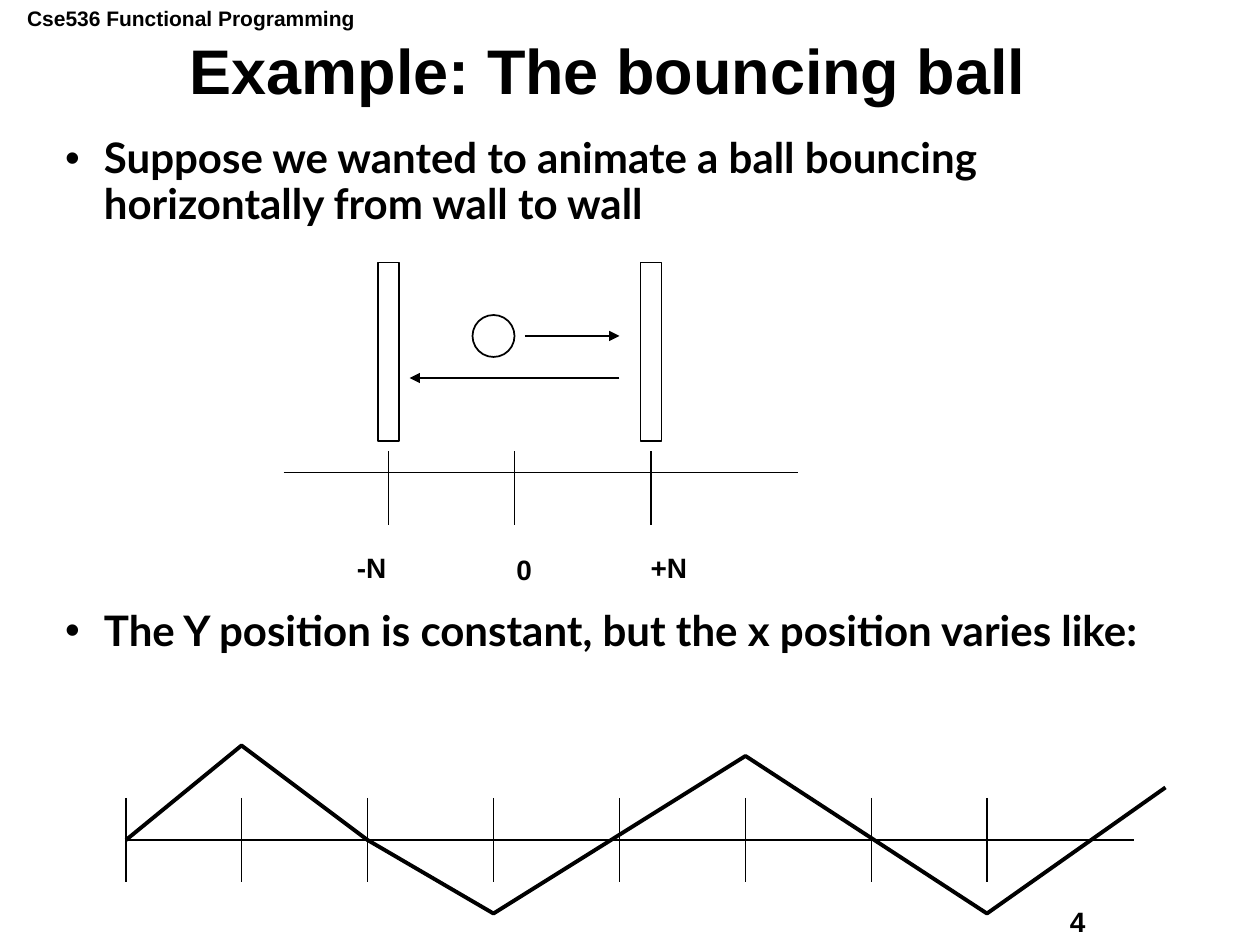
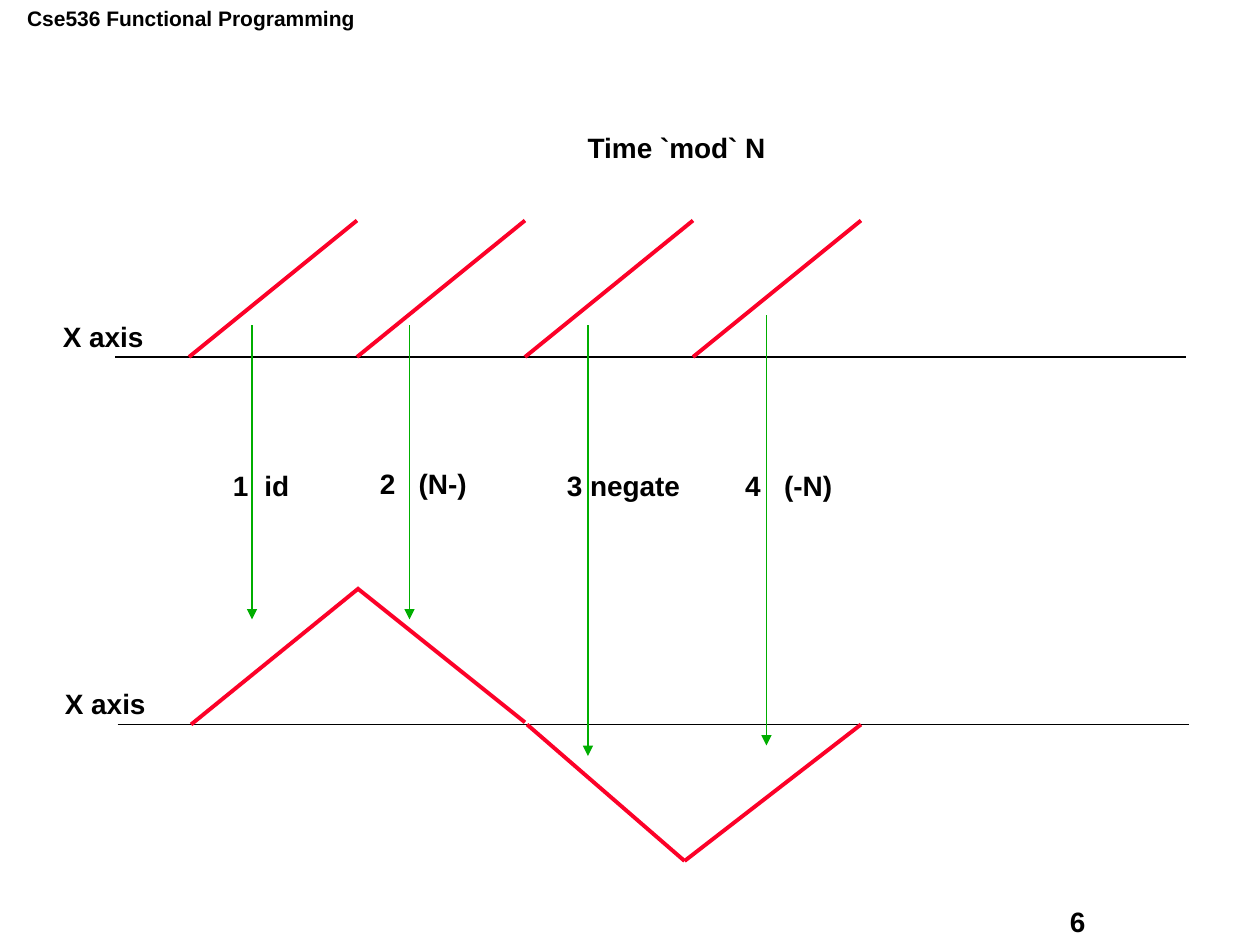
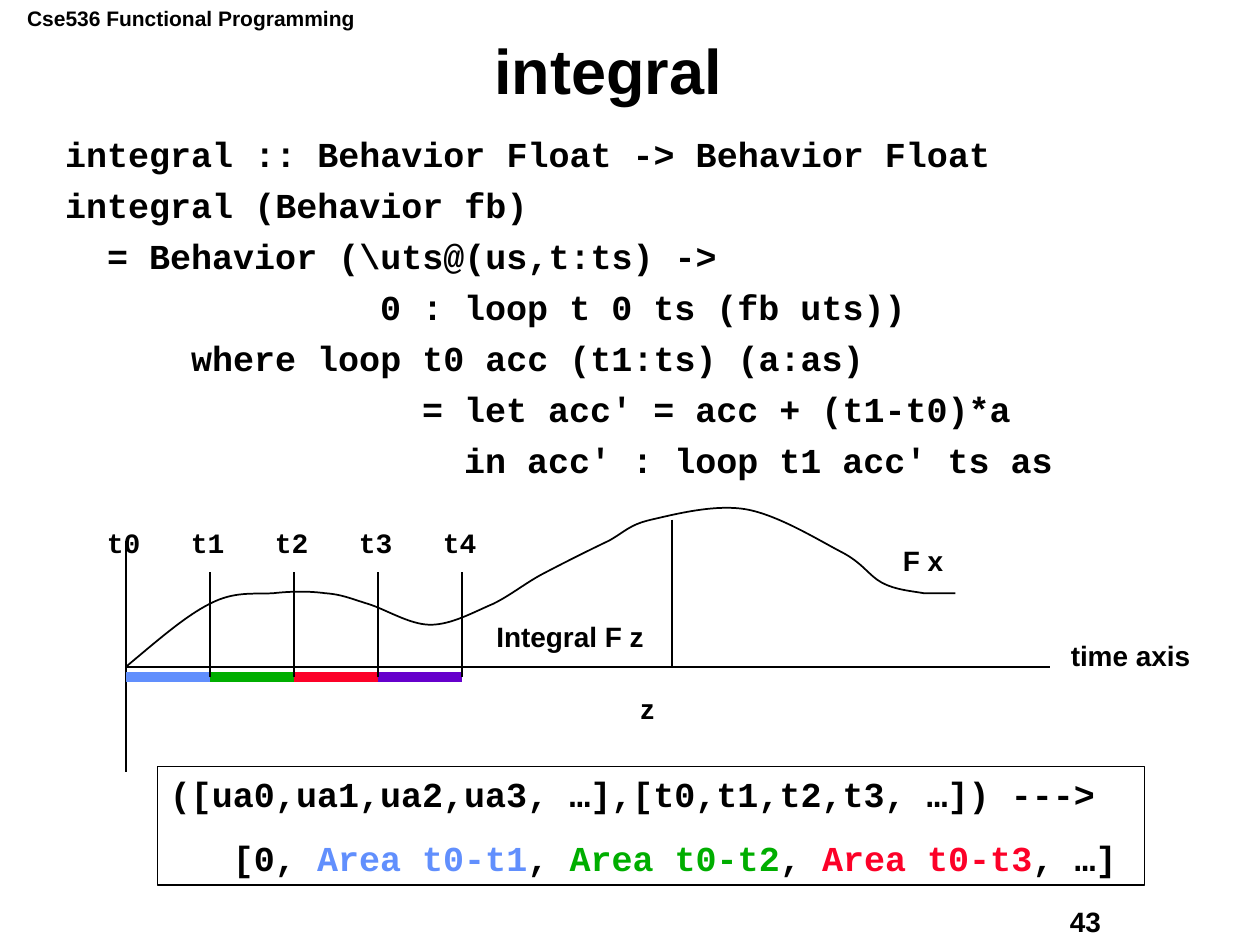
"""Builds three functional programming slides: the bouncing ball, its time mapping, and integral."""
from lxml import etree
from pptx import Presentation
from pptx import util as u
from pptx.dml.color import RGBColor
from pptx.enum import shapes, text
from pptx.oxml.ns import qn

PX = 7620
BLACK, WHITE, RED, GREEN, BLUE, PURPLE = "000000", "FFFFFF", "FC0128", "00AE00", "618FFD", "6600CC"
CODE = "Courier New"
CODE_CHAR = 20
ink = RGBColor.from_string


def write(frame, paragraphs, size, face="Arial", **spacing):
    """Fill a text frame with paragraphs, each a list of (words, colour) runs."""
    frame.word_wrap = True
    frame.auto_size = text.MSO_AUTO_SIZE.NONE
    for index, runs in enumerate(paragraphs):
        paragraph = frame.add_paragraph() if index else frame.paragraphs[0]
        for key, value in spacing.items():
            setattr(paragraph, key, value)
        for words, colour in runs:
            run = paragraph.add_run()
            run.text = words
            for key, value in {"size": u.Pt(size), "name": face, "bold": True}.items():
                setattr(run.font, key, value)
            run.font.color.rgb = ink(colour)


def segment(slide, x1, y1, x2, y2, colour=BLACK, weight=1, arrow=False):
    """Draw a straight line, with an arrowhead at its end if asked."""
    ends = [length * PX for length in (x1, y1, x2, y2)]
    stroke = slide.shapes.add_connector(shapes.MSO_CONNECTOR.STRAIGHT, *ends)
    stroke.line.color.rgb = ink(colour)
    stroke.line.width = u.Pt(weight)
    properties = stroke._element.spPr
    if arrow:
        etree.SubElement(properties.find(qn("a:ln")), qn("a:tailEnd"), type="triangle")
    etree.SubElement(properties, qn("a:effectLst"))


deck = Presentation()
deck.slide_width, deck.slide_height = 1200 * PX, 900 * PX
titled, blank = deck.slide_layouts[1], deck.slide_layouts[6]
ball, mapping, integral = [deck.slides.add_slide(layout) for layout in (titled, blank, titled)]

for slide, heading in ((ball, "Example: The bouncing ball"), (integral, "integral")):
    title, body = slide.placeholders
    for part, place in ((title, (37, 37, 1084, 67)), (body, (50, 125, 1070, 715))):
        for key, value in zip(("left", "top", "width", "height"), place):
            setattr(part, key, value * PX)
    title.text_frame.vertical_anchor = text.MSO_ANCHOR.MIDDLE
    write(title.text_frame, [[(heading, BLACK)]], 36, line_spacing=0.9, alignment=text.PP_ALIGN.CENTER)

labels = [
    (ball, 480, 520, 46, "0", 0),
    (ball, 608, 518, 65, "+N", 0),
    (ball, 328, 518, 58, "-N", 0),
    (mapping, 48, 298, 107, "X axis", 0),
    (mapping, 548, 118, 199, "Time `mod` N", 0),
    (mapping, 50, 648, 107, "X axis", 0),
    (mapping, 210, 440, 83, "1\tid", 30),
    (mapping, 350, 438, 113, "2\t(N-)", 37),
    (mapping, 528, 440, 138, "3 negate", 0),
    (mapping, 698, 440, 113, "4\t(-N)", 37),
    (integral, 848, 512, 68, "F x", 0),
    (integral, 1008, 602, 144, "time axis", 0),
    (integral, 598, 653, 43, "z", 0),
    (integral, 461, 584, 170, "Integral F z", 0),
    (integral, 90, 495, 450, "t0\tt1\tt2\tt3\tt4", 80),
]
for slide, number in ((ball, "4"), (mapping, "6"), (integral, "43")):
    course = slide.shapes.add_textbox(14 * PX, -1 * PX, 342 * PX, 36 * PX)
    write(course.text_frame, [[("Cse536 Functional Programming", BLACK)]], 12)
    labels.append((slide, 1007, 856, 152, number, 0))

for slide, x, y, width, words, tab in labels:
    label = slide.shapes.add_textbox(x * PX, y * PX, width * PX, 44 * PX)
    write(label.text_frame, [[(words, BLACK)]], 16, CODE if words.startswith("t0") else "Arial")
    if tab:
        stops = etree.SubElement(label.text_frame.paragraphs[0]._p.get_or_add_pPr(), qn("a:tabLst"))
        for count in range(words.count("\t")):
            etree.SubElement(stops, qn("a:tab"), pos=str(tab * (count + 1) * PX), algn="l")

points = [
    "Suppose we wanted to animate a ball bouncing horizontally from wall to wall",
    "The Y position is constant, but the x position varies like:",
]
story = ball.placeholders[1].text_frame
write(story, [[(point, BLACK)] for point in points], 24, "Lato", line_spacing=0.9)
for paragraph, gap in zip(story.paragraphs, (9, 218)):
    paragraph.space_before = u.Pt(gap)
    layout = paragraph._p.get_or_add_pPr()
    layout.set("marL", str(37 * PX))
    layout.set("indent", str(-37 * PX))
    etree.SubElement(layout, qn("a:buChar"), char="•")

RECTANGLE, OVAL = shapes.MSO_SHAPE.RECTANGLE, shapes.MSO_SHAPE.OVAL
for kind, *place in ((RECTANGLE, 360, 250, 20, 170), (RECTANGLE, 610, 250, 20, 170), (OVAL, 450, 300, 40, 40)):
    body = ball.shapes.add_shape(kind, *[length * PX for length in place])
    body.shadow.inherit = False
    body.fill.solid()
    body.fill.fore_color.rgb = ink(WHITE)
    body.line.color.rgb = ink(BLACK)
    body.line.width = u.Pt(1)
segment(ball, 500, 320, 590, 320, arrow=True)
segment(ball, 590, 360, 390, 360, arrow=True)
segment(ball, 270, 450, 760, 450)
for x in (370, 490, 620):
    segment(ball, x, 430, x, 500)
segment(ball, 120, 800, 1080, 800)
for x in (120, 230, 350, 470, 590, 710, 830, 940):
    segment(ball, x, 760, x, 840)

segment(mapping, 110, 340, 1130, 340)
for x in range(180, 661, 160):
    segment(mapping, x, 340, x + 160, 210, RED, 2.25)
segment(mapping, 112, 690, 1132, 690)
for leg in ((182, 690, 342, 560), (340, 560, 500, 688), (502, 690, 652, 820), (652, 820, 820, 690)):
    segment(mapping, *leg, RED, 2.25)
for x, top, bottom in ((240, 310, 590), (390, 310, 590), (560, 310, 720), (730, 300, 710)):
    segment(mapping, x, top, x, bottom, GREEN, arrow=True)

code_lines = [
    (0, "integral :: Behavior Float -> Behavior Float"),
    (0, "integral (Behavior fb)"),
    (2, "= Behavior (\\uts@(us,t:ts) ->"),
    (15, "0 : loop t 0 ts (fb uts))"),
    (6, "where loop t0 acc (t1:ts) (a:as)"),
    (17, "= let acc' = acc + (t1-t0)*a"),
    (19, "in acc' : loop t1 acc' ts as"),
]
code = integral.placeholders[1].text_frame
write(code, [[(words, BLACK)] for _, words in code_lines], 20, CODE, line_spacing=0.9, space_before=u.Pt(7.5))
for paragraph, (depth, _) in zip(code.paragraphs, code_lines):
    layout = paragraph._p.get_or_add_pPr()
    layout.set("marL", str(depth * CODE_CHAR * PX))
    layout.set("indent", "0")
    etree.SubElement(layout, qn("a:buNone"))

segment(integral, 120, 635, 1000, 635)
segment(integral, 120, 515, 120, 735)
segment(integral, 640, 495, 640, 635)
for step, colour in enumerate((BLUE, GREEN, RED, PURPLE)):
    segment(integral, 120 + 80 * step, 645, 200 + 80 * step, 645, colour, 6)
for x in range(200, 441, 80):
    segment(integral, x, 645, x, 545)

wave = [(120, 800), (230, 710), (350, 800), (470, 870), (710, 720), (940, 870), (1110, 750)]
function_curve = [
    (120, 635),
    (149, 611), (176, 587), (200, 575), (223, 563), (241, 566), (260, 565),
    (278, 563), (295, 563), (310, 565), (325, 566), (334, 570), (350, 575),
    (367, 580), (390, 595), (410, 595), (430, 595), (451, 583), (470, 575),
    (488, 566), (502, 554), (520, 545), (539, 535), (563, 523), (580, 515),
    (596, 506), (599, 500), (620, 495), (642, 490), (680, 480), (710, 485),
    (740, 490), (779, 514), (800, 525), (822, 536), (827, 548), (840, 555),
    (853, 562), (869, 563), (880, 565), (892, 565), (905, 565), (910, 565),
]
for slide, vertices, weight, curved in ((ball, wave, 2.25, False), (integral, function_curve, 1, True)):
    builder = slide.shapes.build_freeform(*vertices[0], scale=PX)
    builder.add_line_segments(vertices[1:], close=False)
    trace = builder.convert_to_shape()
    trace.shadow.inherit = False
    trace.fill.background()
    trace.line.color.rgb = ink(BLACK)
    trace.line.width = u.Pt(weight)
    if curved:
        legs = list(trace._element.iter(qn("a:lnTo")))
        for first in range(0, len(legs), 3):
            bend = etree.SubElement(legs[first].getparent(), qn("a:cubicBezTo"))
            for leg in legs[first:first + 3]:
                bend.append(leg[0])
                leg.getparent().remove(leg)

result = integral.shapes.add_shape(RECTANGLE, 150 * PX, 730 * PX, 940 * PX, 113 * PX)
result.shadow.inherit = False
result.fill.background()
result.line.color.rgb = ink(BLACK)
result.line.width = u.Pt(1)
result.text_frame.vertical_anchor = text.MSO_ANCHOR.TOP
areas = [
    ("[0, ", BLACK), ("Area t0-t1", BLUE), (", ", BLACK), ("Area t0-t2", GREEN),
    (", ", BLACK), ("Area t0-t3", RED), (", …]", BLACK),
]
samples = [("([ua0,ua1,ua2,ua3, …],[t0,t1,t2,t3, …]) --->", BLACK)]
write(result.text_frame, [samples, areas], 20, CODE, space_before=u.Pt(12.5), alignment=text.PP_ALIGN.LEFT)
result.text_frame.paragraphs[1]._p.get_or_add_pPr().set("marL", str(3 * CODE_CHAR * PX))

deck.save("out.pptx")
